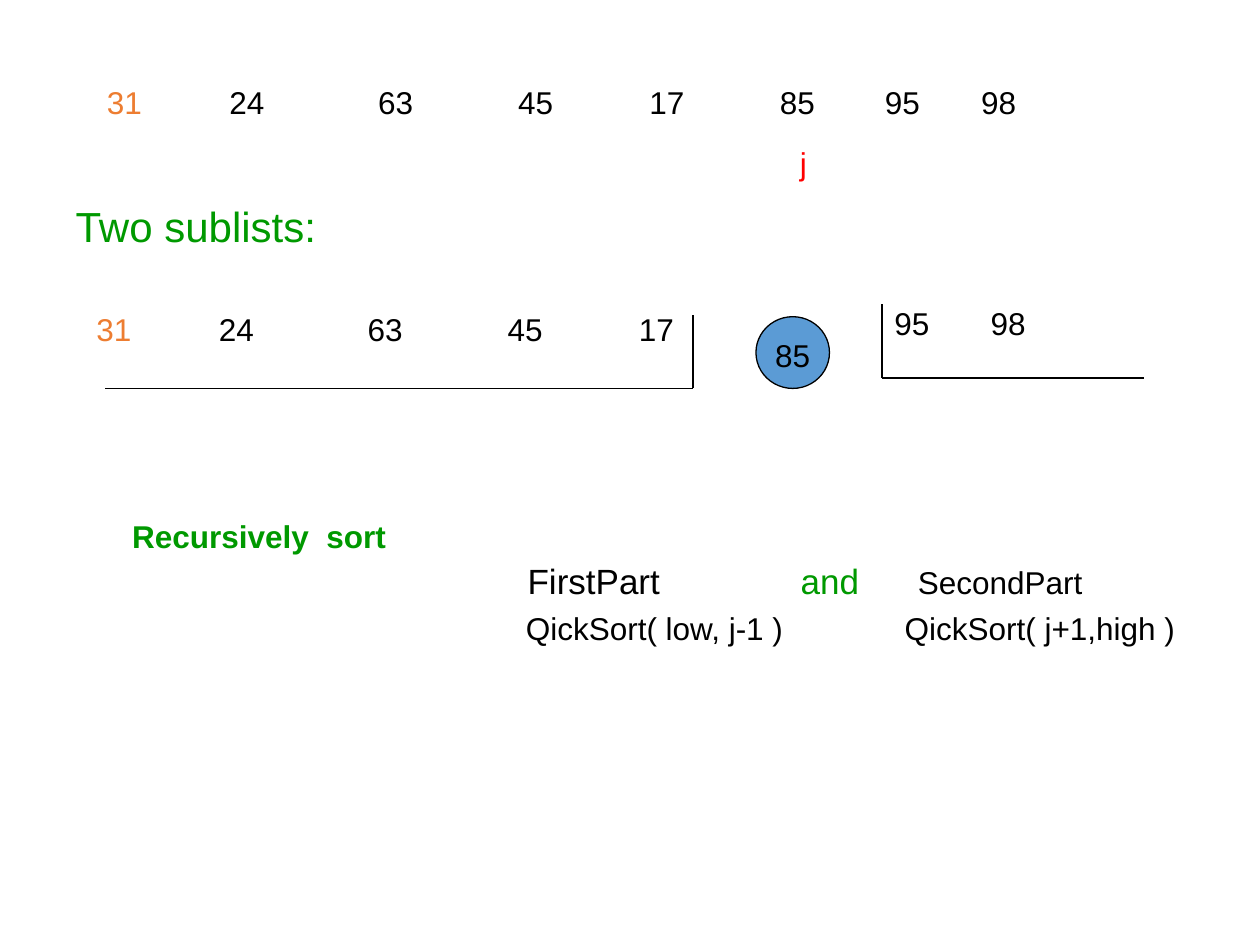
"""Build the quicksort slide that splits a list at its pivot into two sublists."""
from lxml.etree import SubElement
from pptx import Presentation
from pptx.dml.color import RGBColor
from pptx.enum.shapes import MSO_CONNECTOR, MSO_SHAPE
from pptx.enum.text import MSO_ANCHOR, MSO_AUTO_SIZE, PP_ALIGN
from pptx.oxml.ns import qn
from pptx.util import Pt

BLACK = RGBColor(0x00, 0x00, 0x00)
WHITE = RGBColor(0xFF, 0xFF, 0xFF)
GREEN = RGBColor(0x00, 0x99, 0x00)
ORANGE = RGBColor(0xED, 0x7D, 0x31)
RED = RGBColor(0xFF, 0x00, 0x00)
BLUE = RGBColor(0x5B, 0x9B, 0xD5)

LIST_TABS = (70, 155, 235, 310, 384.5, 444.5, 499.5)
LEFT_PART = ("24", "63", "45", "17")
RIGHT_PART = ("95", "98")


class SlideBuilder:
    """Hold the text style and the current slide."""

    font_name = "Arial"
    text_size = 18
    line_spacing = 1.1
    line_width = 0.75

    def __init__(self, slide):
        self.slide = slide

    def style(self, para, color=BLACK, size=text_size, bold=False):
        """Apply the common font and spacing to a paragraph."""
        para.line_spacing = self.line_spacing
        font = para.font
        font.name, font.size, font.bold = self.font_name, Pt(size), bold
        font.color.rgb = color

    def title(self, text, left, top, width, height):
        """Place and format the title placeholder."""
        box = self.slide.shapes.title
        box.left, box.top, box.width, box.height = map(Pt, (left, top, width, height))
        frame = box.text_frame
        frame.text = text
        frame.vertical_anchor = MSO_ANCHOR.TOP
        frame.auto_size = MSO_AUTO_SIZE.NONE
        para = frame.paragraphs[0]
        para.alignment = PP_ALIGN.LEFT
        self.style(para, GREEN, 24)

    def text_box(self, left, top, width, height):
        """Add an empty wrapping text box and return its frame."""
        box = self.slide.shapes.add_textbox(*map(Pt, (left, top, width, height)))
        box.text_frame.word_wrap = True
        return box.text_frame

    def tabbed(self, para, spans, tabs=(), **style):
        """Fill a paragraph with (text, color) spans set on tab stops."""
        if tabs:
            tab_list = SubElement(para._p.get_or_add_pPr(), qn("a:tabLst"))
            for position in tabs:
                SubElement(tab_list, qn("a:tab"), pos=str(int(Pt(position))), algn="l")
        self.style(para, **style)
        for text, color in spans:
            span = para.add_run()
            span.text = text
            if color is not None:
                span.font.color.rgb = color

    def number_list(self, left, top, width, spans, tabs):
        """Add one row of numbers."""
        frame = self.text_box(left, top, width, 50)
        self.tabbed(frame.paragraphs[0], spans, tabs)

    def line(self, start, end):
        """Add a thin black line."""
        line = self.slide.shapes.add_connector(
            MSO_CONNECTOR.STRAIGHT, *map(Pt, (*start, *end)))
        line.line.color.rgb = BLACK
        line.line.width = Pt(self.line_width)
        SubElement(line._element.spPr, qn("a:effectLst"))

    def shape(self, kind, left, top, width, height, text, fill, outline, color):
        """Add a filled shape with a centred label."""
        shape = self.slide.shapes.add_shape(kind, *map(Pt, (left, top, width, height)))
        shape.shadow.inherit = False
        shape.fill.solid()
        shape.fill.fore_color.rgb = fill
        shape.line.color.rgb = outline
        shape.line.width = Pt(self.line_width)
        frame = shape.text_frame
        frame.text = text
        frame.word_wrap = False
        frame.vertical_anchor = MSO_ANCHOR.MIDDLE
        para = frame.paragraphs[0]
        para.alignment = PP_ALIGN.CENTER
        self.style(para, color)


def main():
    """Build and save the deck."""
    deck = Presentation()
    deck.slide_width, deck.slide_height = Pt(720), Pt(540)
    page = SlideBuilder(deck.slides.add_slide(deck.slide_layouts[5]))

    page.title("Two sublists:", 36, 108, 312, 36)

    first = ("31", ORANGE)
    left_text = "\t" + "\t".join(LEFT_PART)
    right_text = "\t".join(RIGHT_PART)
    page.number_list(54, 42, 569.5, [first, (f"{left_text}\t85\t{right_text}", None)],
                     LIST_TABS)
    page.number_list(48, 171.5, 384, [first, (left_text, None)], LIST_TABS[:4])
    page.number_list(504, 168, 162, [(right_text, None)], (55,))

    for corner, top, far_end in (((396, 222), 180, 60), ((504, 216), 174, 654)):
        page.line((corner[0], top), corner)
        page.line(corner, (far_end, corner[1]))

    frame = page.text_box(68.4, 290, 627, 144)
    page.tabbed(frame.paragraphs[0], [("Recursively  sort", None)],
                color=GREEN, bold=True)
    parts = frame.add_paragraph()
    page.tabbed(parts, [("\tFirstPart", None), ("\tand", GREEN), ("\tSecondPart", None)],
                (226, 382, 449), size=20)
    parts.runs[-1].font.size = Pt(18)
    calls = frame.add_paragraph()
    calls.space_before = Pt(2)
    page.tabbed(calls, [("\tQickSort( low, j-1 )\tQickSort( j+1,high )", None)],
                (225, 441.5))

    page.shape(MSO_SHAPE.RECTANGLE, 429, 79, 60, 25.5, "j", WHITE, WHITE, RED)
    page.shape(MSO_SHAPE.OVAL, 432, 181, 42, 41, "85", BLUE, BLACK, BLACK)

    deck.save("out.pptx")


if __name__ == "__main__":
    main()
